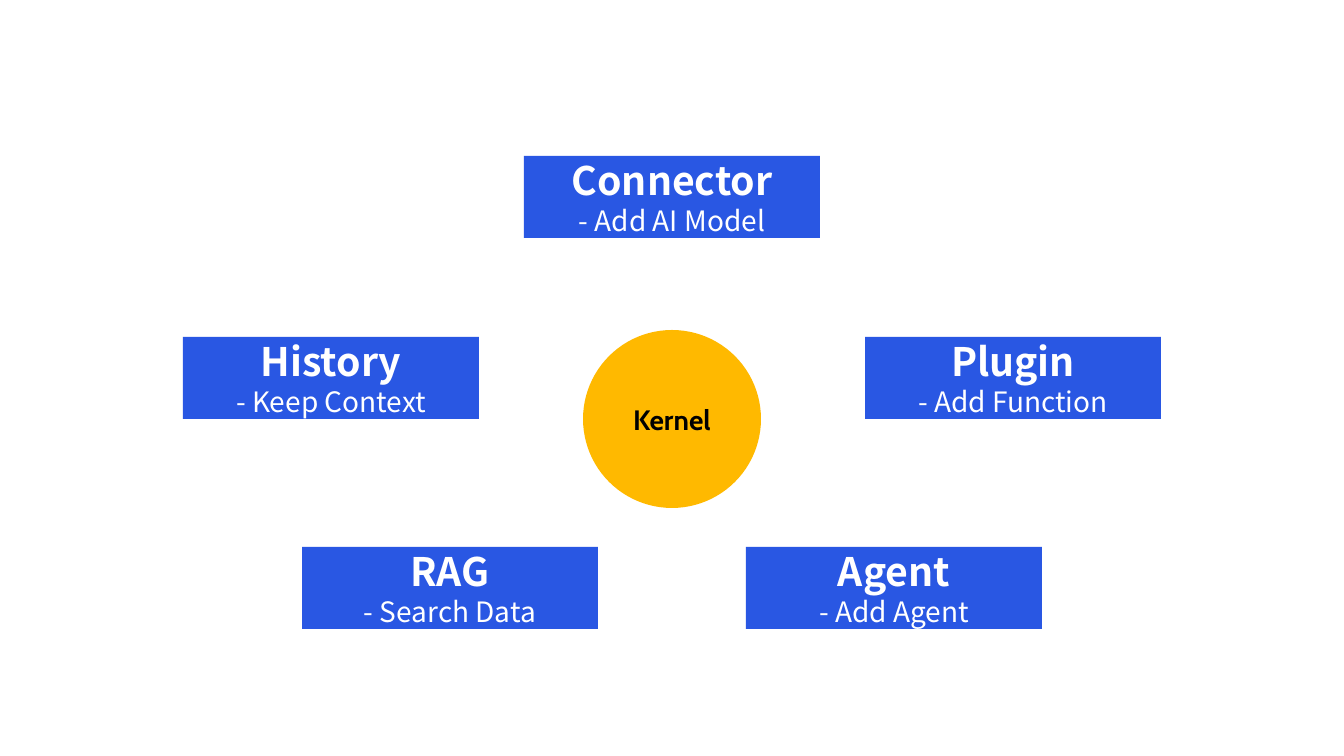
import pptx
import pptx.util
import pptx.dml.color
import pptx.enum.shapes
import pptx.enum.text

WIDE, HIGH = 1344, 756
BOX_W, BOX_H = 296, 82
HUB_Y, HUB_D = 330, 178
SANS = "Noto Sans CJK KR"
BLUE, GOLD, WHITE, BLACK = "2957E3", "FFB900", "FFFFFF", "000000"

PARTS = [
    ("History", "- Keep Context", -341, 337),
    ("Connector", "- Add AI Model", 0, 156),
    ("RAG", "- Search Data", -222, 547),
    ("Agent", "- Add Agent", 222, 547),
    ("Plugin", "- Add Function", 341, 337),
]

RECT = pptx.enum.shapes.MSO_SHAPE.RECTANGLE
OVAL = pptx.enum.shapes.MSO_SHAPE.OVAL


def px(n):
    return pptx.util.Emu(round(n * 914400 / 100.8))


def rgb(code):
    return pptx.dml.color.RGBColor.from_string(code)


def add(slide, kind, mid, top, wide, high, fill, pad, lines):
    shape = slide.shapes.add_shape(
        kind, px(mid - wide / 2), px(top), px(wide), px(high))
    shape.shadow.inherit = False
    shape.fill.solid()
    shape.fill.fore_color.rgb = rgb(fill)
    shape.line.fill.background()
    frame = shape.text_frame
    frame.word_wrap = True
    frame.vertical_anchor = pptx.enum.text.MSO_ANCHOR.MIDDLE
    frame.margin_left = frame.margin_right = px(pad[0])
    frame.margin_top = frame.margin_bottom = px(pad[1])
    frame.text = "\n".join(line[0] for line in lines)
    for para, (text, face, size, bold, hue) in zip(frame.paragraphs, lines):
        para.alignment = pptx.enum.text.PP_ALIGN.CENTER
        for run in para.runs:
            run.font.name = face
            run.font.size = pptx.util.Pt(size)
            run.font.bold = bold
            run.font.color.rgb = rgb(hue)


def main():
    deck = pptx.Presentation()
    deck.slide_width, deck.slide_height = px(WIDE), px(HIGH)
    slide = deck.slides.add_slide(deck.slide_layouts[6])
    for name, role, shift, top in PARTS:
        add(slide, RECT, WIDE / 2 + shift, top, BOX_W, BOX_H, BLUE, (0, 0),
            [(name, SANS, 28, True, WHITE), (role, SANS, 20, False, WHITE)])
    add(slide, OVAL, WIDE / 2, HUB_Y, HUB_D, HUB_D, GOLD, (20, 16),
        [("Kernel", "Cabin", 20, True, BLACK)])
    deck.save("out.pptx")


if __name__ == "__main__":
    main()
